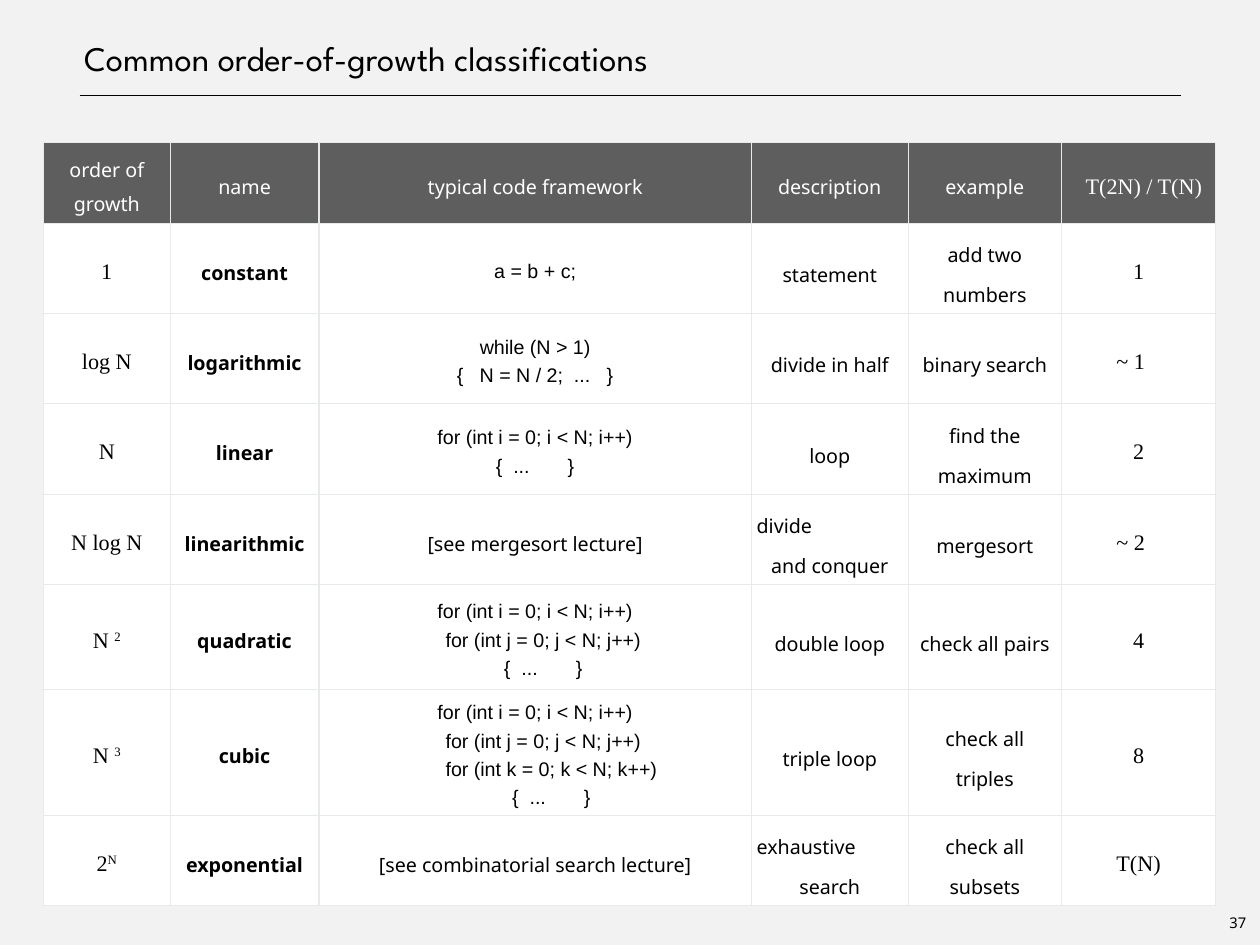
from lxml.etree import SubElement, Element
from pptx import Presentation
from pptx.dml.color import RGBColor
from pptx.enum.shapes import MSO_CONNECTOR
from pptx.enum.text import MSO_ANCHOR, MSO_AUTO_SIZE, PP_ALIGN
from pptx.oxml.ns import qn
from pptx.util import Inches, Pt

HUES = {"page": "F2F2F2", "head": "5E5E5E", "cell": "FFFFFF", "grid": "E7EAEB", "ink": "000000"}
PAD = Inches(0.06)
INSETS = dict.fromkeys(("margin_left", "margin_right", "margin_top", "margin_bottom"), PAD)
FLUSH = dict.fromkeys(INSETS, 0)
SANS = {"name": "Noto Sans", "size": Pt(16), "bold": False}
BOLD = {**SANS, "bold": True}
CODE = {**SANS, "name": "Arial"}
MATH = {"name": "Times New Roman", "size": Pt(18), "bold": False}
FONTS = [MATH, BOLD, CODE, SANS, SANS, MATH]
GAPS = [1.3, 1.3, 1.3, 1.5, 1.5, 1.3]

WIDTHS = [1.43, 1.68, 4.88, 1.77, 1.73, 1.74]
HEIGHTS = [0.91, 1.01, 1.01, 1.01, 1.01, 1.18, 1.42, 1.01]
HEADS = ["order of growth", "name", "typical code framework", "description", "example", "T(2N) / T(N)"]
ROWS = [
    ["1", "constant", "a = b + c;", "statement", "add two numbers", "1"],
    ["log N", "logarithmic", "while (N > 1)\n{   N = N / 2;  ...   }", "divide in half", "binary search", "~ 1"],
    ["N", "linear", "for (int i = 0; i < N; i++)\n{  ...       }", "loop", "find the maximum", "2"],
    ["N log N", "linearithmic", "[see mergesort lecture]", "divide\nand conquer", "mergesort", "~ 2"],
    ["N ^2", "quadratic",
     "for (int i = 0; i < N; i++)\n   for (int j = 0; j < N; j++)\n   {  ...       }",
     "double loop", "check all pairs", "4"],
    ["N ^3", "cubic",
     "for (int i = 0; i < N; i++)\n   for (int j = 0; j < N; j++)\n"
     "      for (int k = 0; k < N; k++)\n      {  ...       }",
     "triple loop", "check all triples", "8"],
    ["2^N", "exponential", "[see combinatorial search lecture]", "exhaustive\nsearch", "check all subsets", "T(N)"],
]


def apply(item, form):
    for key, value in form.items():
        setattr(item, key, value)


def paint(fill, hue):
    fill.solid()
    fill.fore_color.rgb = RGBColor.from_string(HUES[hue])


def add_text(para, text, font, hue, raised=False):
    run = para.add_run()
    run.text = text
    apply(run.font, font)
    run.font.color.rgb = RGBColor.from_string(HUES[hue])
    if raised:
        run._r.get_or_add_rPr().set("baseline", "32000")


def indent(para, left, right=0.06):
    props = para._p.get_or_add_pPr()
    props.set("marL", str(Inches(left)))
    props.set("marR", str(Inches(right)))
    props.set("indent", "0")


def add_title(slide, left, top, width, height):
    title = slide.shapes.title
    apply(title, {"left": left, "top": top, "width": width, "height": height})
    frame = title.text_frame
    apply(frame, {**FLUSH, "vertical_anchor": MSO_ANCHOR.BOTTOM,
                  "auto_size": MSO_AUTO_SIZE.NONE, "word_wrap": True})
    para = frame.paragraphs[0]
    para.alignment = PP_ALIGN.LEFT
    indent(para, 0.06)
    add_text(para, "Common order-of-growth classifications",
             {"name": "League Spartan", "size": Pt(28), "bold": False}, "ink")
    level = top + height + Inches(0.19)
    rule = slide.shapes.add_connector(
        MSO_CONNECTOR.STRAIGHT, left + Inches(0.01), level, left + width, level)
    rule.line.width = Pt(1)
    paint(rule.line.fill, "ink")
    SubElement(rule._element.spPr, qn("a:effectLst"))


def add_edges(cell):
    props = cell._tc.get_or_add_tcPr()
    for spot, side in enumerate("LRTB"):
        line = Element(qn("a:ln" + side), w=str(Pt(1)))
        fill = SubElement(line, qn("a:solidFill"))
        SubElement(fill, qn("a:srgbClr"), val=HUES["grid"])
        props.insert(spot, line)


def add_cell(cell, text, font, gap, fill, ink):
    apply(cell, {**INSETS, "vertical_anchor": MSO_ANCHOR.MIDDLE})
    add_edges(cell)
    paint(cell.fill, fill)
    frame = cell.text_frame
    lines = text.split("\n")
    for spot, line in enumerate(lines):
        para = frame.add_paragraph() if spot else frame.paragraphs[0]
        apply(para, {"alignment": PP_ALIGN.CENTER, "line_spacing": gap})
        indent(para, 0.06)
        if line.startswith("~"):
            para.alignment = PP_ALIGN.LEFT
            indent(para, 0.56)
        elif line.startswith("T(2N)"):
            indent(para, 0.18)
        elif line in ("divide", "exhaustive"):
            para.alignment = PP_ALIGN.LEFT
            indent(para, 0, 0)
        base, _, power = line.partition("^")
        add_text(para, base, font, ink)
        if power:
            add_text(para, power, font, ink, True)


def add_grid(slide, left, top, width, height):
    grid = slide.shapes.add_table(len(HEIGHTS), len(WIDTHS), left, top, width, height).table
    apply(grid, {"first_row": False, "horz_banding": False})
    for col, size in zip(grid.columns, WIDTHS):
        col.width = Inches(size)
    for row, size in zip(grid.rows, HEIGHTS):
        row.height = Inches(size)
    for col, text in enumerate(HEADS):
        font = MATH if col == len(HEADS) - 1 else SANS
        add_cell(grid.cell(0, col), text, font, 1.3, "head", "cell")
    for row, texts in enumerate(ROWS, 1):
        for col, text in enumerate(texts):
            font = SANS if text.startswith("[") else FONTS[col]
            add_cell(grid.cell(row, col), text, font, GAPS[col], "cell", "ink")


def add_number(slide, left, top, width, height):
    frame = slide.shapes.add_textbox(left, top, width, height).text_frame
    apply(frame, {**INSETS, "vertical_anchor": MSO_ANCHOR.MIDDLE, "word_wrap": False,
                  "auto_size": MSO_AUTO_SIZE.SHAPE_TO_FIT_TEXT})
    para = frame.paragraphs[0]
    para.alignment = PP_ALIGN.CENTER
    add_text(para, "37", {**SANS, "size": Pt(12)}, "ink")


def main():
    deck = Presentation()
    apply(deck, {"slide_width": Inches(14.22), "slide_height": Inches(10.67)})
    slide = deck.slides.add_slide(deck.slide_layouts[5])
    paint(slide.background.fill, "page")
    add_title(slide, Inches(0.89), 0, Inches(12.44), Inches(0.89))
    add_grid(slide, Inches(0.49), Inches(1.61), Inches(13.23), Inches(8.56))
    add_number(slide, Inches(13.8), Inches(10.26), Inches(0.34), Inches(0.31))
    deck.save("out.pptx")


if __name__ == "__main__":
    main()
